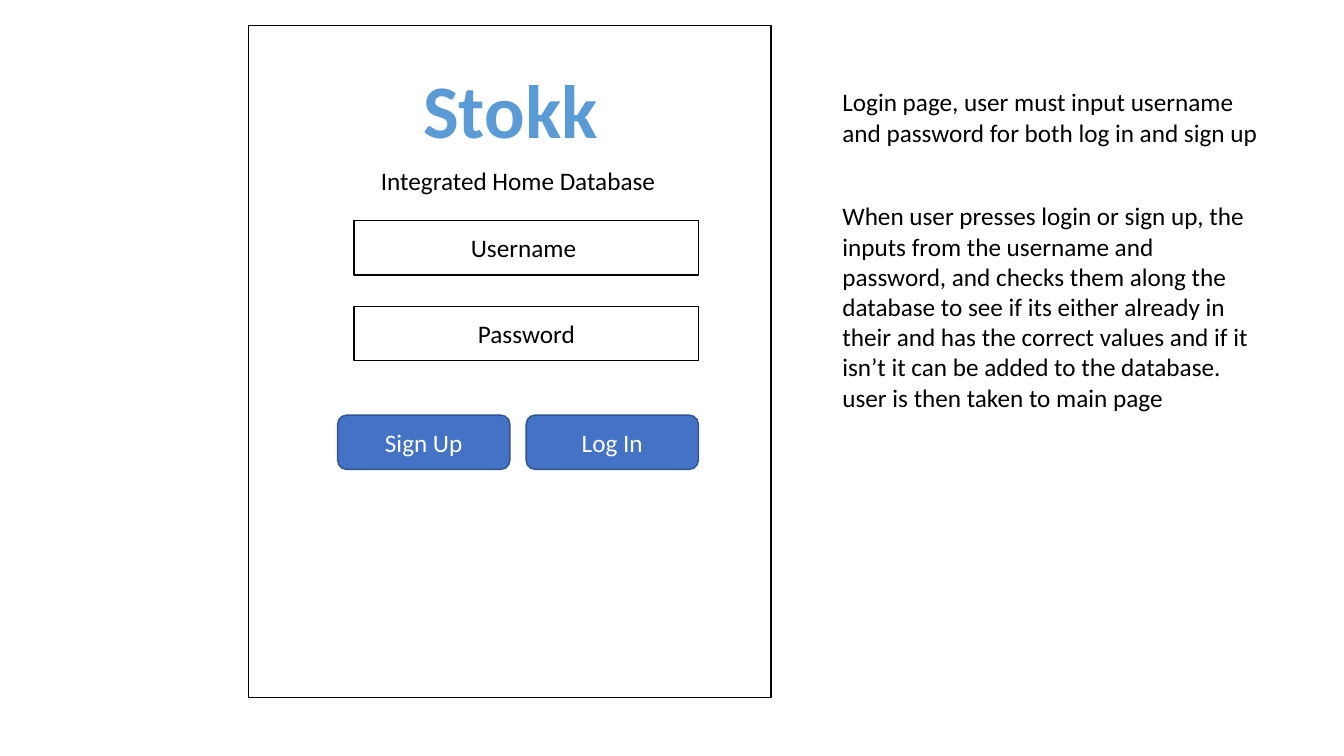
from lxml.etree import SubElement
from pptx import Presentation
from pptx.dml.color import RGBColor
from pptx.enum.shapes import MSO_SHAPE
from pptx.enum.text import MSO_ANCHOR, MSO_AUTO_SIZE, PP_ALIGN
from pptx.oxml.ns import qn
from pptx.util import Cm, Pt

BLACK, WHITE = "000000", "FFFFFF"
BUTTON_BLUE, BUTTON_EDGE, BRAND_BLUE = "4472C4", "325491", "5B9BD5"
CONTROL_HEIGHT = 1.37
FIELD_LEFT, FIELD_WIDTH, FIELD_TOP, FIELD_PITCH = 8.92, 8.69, 5.56, 2.16
BUTTON_LEFT, BUTTON_WIDTH, BUTTON_TOP, BUTTON_PITCH = 8.51, 4.34, 10.46, 4.75
NOTE_LEFT = 20.98

LOGIN_NOTE = "Login page, user must input username and password for both log in and sign up"
CHECK_NOTE = (
    "When user presses login or sign up, the inputs from the username and password, "
    "and checks them along the database to see if its either already in their and has "
    "the correct values and if it isn’t it can be added to the database. "
    "user is then taken to main page"
)


def color(hex_value):
    return RGBColor.from_string(hex_value)


def write(frame, text, text_color, size=18, bold=False, align=PP_ALIGN.LEFT):
    frame.text = text
    paragraph = frame.paragraphs[0]
    paragraph.alignment = align
    run = paragraph.runs[0]
    run.font.name = "Calibri"
    run.font.size = Pt(size)
    run.font.bold = bold
    run.font.color.rgb = color(text_color)
    return run


def add_panel(slide, kind, box, fill, edge):
    panel = slide.shapes.add_shape(kind, *map(Cm, box))
    panel.shadow.inherit = False
    panel.fill.solid()
    panel.fill.fore_color.rgb = color(fill)
    panel.line.color.rgb = color(edge)
    panel.line.width = Pt(1)
    return panel


def add_control(slide, kind, box, label, fill, edge, label_color):
    """Add a form field or button with a centred label."""
    frame = add_panel(slide, kind, box, fill, edge).text_frame
    frame.vertical_anchor = MSO_ANCHOR.MIDDLE
    write(frame, label, label_color, align=PP_ALIGN.CENTER)


def add_text(slide, box, text, text_color=BLACK, wrap=True, **style):
    frame = slide.shapes.add_textbox(*map(Cm, box)).text_frame
    frame.word_wrap = wrap
    frame.auto_size = MSO_AUTO_SIZE.SHAPE_TO_FIT_TEXT
    return write(frame, text, text_color, **style)


def outline_text(run, hex_value, width):
    outline = SubElement(run.font._element, qn("a:ln"), w=str(Pt(width)))
    SubElement(SubElement(outline, qn("a:solidFill")), qn("a:srgbClr"), val=hex_value)
    run.font._element.insert(0, outline)


def main():
    deck = Presentation()
    deck.slide_width, deck.slide_height = Cm(33.87), Cm(19.05)
    slide = deck.slides.add_slide(deck.slide_layouts[6])

    add_panel(slide, MSO_SHAPE.RECTANGLE, (6.27, 0.64, 13.16, 16.94), WHITE, BLACK)

    app_name = add_text(slide, (10.39, 1.47, 4.95, 2.57), "Stokk", BRAND_BLUE,
                        wrap=False, size=54, bold=True, align=PP_ALIGN.CENTER)
    outline_text(app_name, WHITE, 0.75)
    add_text(slide, (9.35, 4.04, 7.9, 1.02), "Integrated Home Database")

    for row, label in enumerate(("Username ", "Password")):
        box = (FIELD_LEFT, FIELD_TOP + row * FIELD_PITCH, FIELD_WIDTH, CONTROL_HEIGHT)
        add_control(slide, MSO_SHAPE.RECTANGLE, box, label, WHITE, BLACK, BLACK)

    for column, label in enumerate(("Sign Up", "Log In")):
        box = (BUTTON_LEFT + column * BUTTON_PITCH, BUTTON_TOP, BUTTON_WIDTH, CONTROL_HEIGHT)
        add_control(slide, MSO_SHAPE.ROUNDED_RECTANGLE, box, label,
                    BUTTON_BLUE, BUTTON_EDGE, WHITE)

    add_text(slide, (NOTE_LEFT, 2.06, 11.18, 2.57), LOGIN_NOTE)
    add_text(slide, (NOTE_LEFT, 4.93, 10.8, 5.64), CHECK_NOTE)

    deck.save("out.pptx")


if __name__ == "__main__":
    main()
